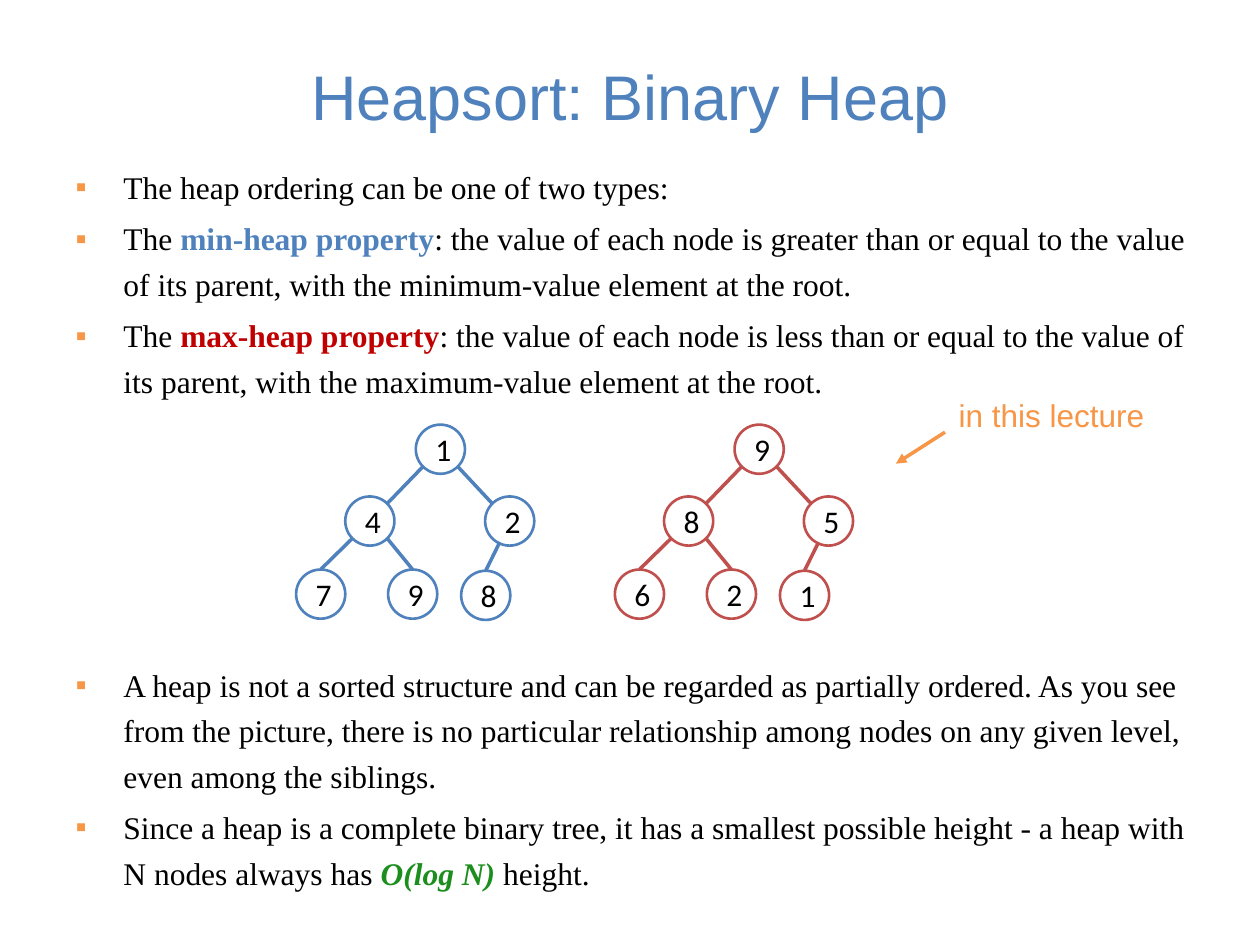
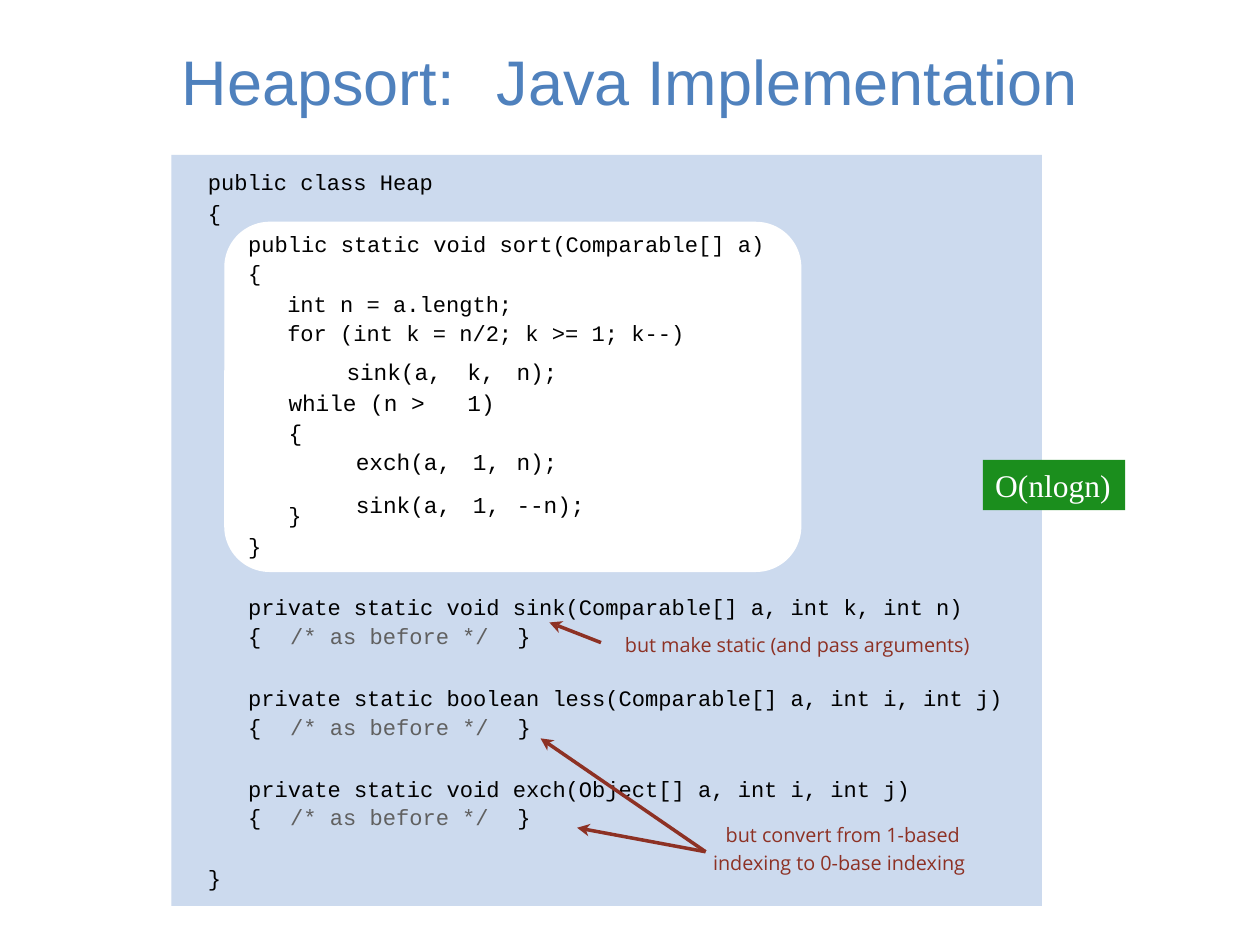
from dataclasses import dataclass, field
from math import cos, hypot, radians, sin

from lxml.etree import SubElement
from pptx import Presentation
from pptx.dml.color import RGBColor
from pptx.enum.shapes import MSO_CONNECTOR as Connector, MSO_SHAPE as Preset
from pptx.enum.text import MSO_ANCHOR as Anchor, MSO_AUTO_SIZE as AutoSize, PP_ALIGN as Align
from pptx.oxml.ns import qn
from pptx.util import Inches, Pt


@dataclass(frozen=True)
class Theme:
    blue: str = "4F81BD"
    red: str = "C0504D"
    crimson: str = "C00000"
    orange: str = "F79646"
    green: str = "1B8E1D"
    brown: str = "8D3124"
    gray: str = "606060"
    panel: str = "CCDAEE"
    white: str = "FFFFFF"
    black: str = "000000"

    def font(self, name, size, color):
        return {"name": name, "size": Pt(size), "color": color}

    @property
    def title(self):
        return self.font("Arial", 36, self.blue)

    @property
    def body(self):
        return self.font("Times New Roman", 18, self.black)

    @property
    def node(self):
        return self.font("Calibri", 18, self.black)

    @property
    def remark(self):
        return self.font("Arial", 18, self.orange)

    @property
    def code(self):
        return self.font("Courier New", 12.6, self.black)

    @property
    def loop_code(self):
        return self.font("Courier New", 13, self.black)

    @property
    def note(self):
        return self.font("Open Sans", 11.25, self.brown)


THEME = Theme()
NODE_SIZE = 0.39
NODE_OFFSETS = [(0.95, 0), (0.39, 0.57), (1.5, 0.57), (0, 1.15), (0.73, 1.15), (1.31, 1.16)]
EDGES = [(0, 1, 135, -45), (0, 2, 45, -135), (1, 3, 135, -90), (1, 4, 45, -90), (2, 5, 115, -90)]
TREE_TOP = 3.37
BULLET_GAP = 3.6
TREE_GAP = 148
METHOD_GAP = 20
BRACE_GAP = 8.9
HEAD_LENGTH, HEAD_NOTCH, HEAD_HALF = 0.1, 0.07, 0.05


@dataclass
class Para:
    runs: list
    indent: float = 0.01
    hang: float = 0
    bullet: str = ""
    form: dict = field(default_factory=dict)


def line(text, indent=0.01, before=0, **form):
    return Para([(text, {})], indent, form={"space_before": Pt(before), **form})


def stub(before=0):
    gap = (" ", {"spacing": BRACE_GAP})
    runs = [("{", {}), gap, ("/* as before */", {"color": THEME.gray}), gap, ("}", {})]
    return Para(runs, form={"space_before": Pt(before)})


def bullet(*runs, before=BULLET_GAP):
    form = {"line_spacing": 1.2, "space_before": Pt(before)}
    return Para(list(runs), 0.38, -0.38, "▪", form)


def apply(target, values):
    for name, value in values.items():
        if name == "color":
            target.color.rgb = RGBColor.from_string(value)
        else:
            setattr(target, name, value)


def write(frame, paragraphs, font):
    for index, para in enumerate(paragraphs):
        paragraph = frame.add_paragraph() if index else frame.paragraphs[0]
        props = paragraph._p.get_or_add_pPr()
        props.set("marL", str(Inches(para.indent)))
        props.set("indent", str(Inches(para.hang)))
        if para.bullet:
            tint = SubElement(props, qn("a:buClr"))
            SubElement(tint, qn("a:srgbClr"), val=THEME.orange)
            SubElement(props, qn("a:buChar"), char=para.bullet)
        apply(paragraph, para.form)
        for text, changes in para.runs:
            run = paragraph.add_run()
            run.text = text
            values = {**font, **changes}
            spacing = values.pop("spacing", 0)
            apply(run.font, values)
            if spacing:
                run._r.get_or_add_rPr().set("spc", str(round(spacing * 100)))


def place(shape, box):
    for name, value in zip(("left", "top", "width", "height"), box):
        setattr(shape, name, Inches(value))


def add_title(slide, text, top):
    title = slide.shapes.title
    place(title, (0.5, top, 9, 1.25))
    apply(title.text_frame, {"vertical_anchor": Anchor.MIDDLE, "auto_size": AutoSize.NONE})
    write(title.text_frame, [line(text, 0, alignment=Align.CENTER)], THEME.title)


def add_body(slide, bullets):
    body = slide.placeholders[1]
    place(body, (0.5, 1.22, 9.02, 5.95))
    apply(body.text_frame, {"vertical_anchor": Anchor.TOP, "auto_size": AutoSize.NONE})
    write(body.text_frame, bullets, THEME.body)


def add_text(slide, box, paragraphs, font, top_inset=0.01):
    frame = slide.shapes.add_textbox(*map(Inches, box)).text_frame
    apply(frame, {"word_wrap": True, "margin_left": 0, "margin_right": 0,
                  "margin_top": Inches(top_inset), "margin_bottom": 0})
    write(frame, paragraphs, font)


def paint(shape, fill, outline=None):
    shape.shadow.inherit = False
    shape.fill.solid()
    shape.fill.fore_color.rgb = RGBColor.from_string(fill)
    if outline:
        apply(shape.line, {"color": outline, "width": Pt(1.5)})
    else:
        shape.line.fill.background()
    return shape


def add_panel(slide, preset, box, fill, outline=None):
    return paint(slide.shapes.add_shape(preset, *map(Inches, box)), fill, outline)


def add_line(slide, start, end, color, head=None):
    link = slide.shapes.add_connector(Connector.STRAIGHT, *map(Inches, (*start, *end)))
    apply(link.line, {"color": color, "width": Pt(2)})
    if head:
        SubElement(link.line._get_or_add_ln(), qn("a:tailEnd"), type=head)
    SubElement(link._element.spPr, qn("a:effectLst"))


def add_barbed_arrow(slide, start, tip, color):
    reach = hypot(start[0] - tip[0], start[1] - tip[1])
    back_x, back_y = (start[0] - tip[0]) / reach, (start[1] - tip[1]) / reach

    def behind(along, across):
        return (tip[0] + along * back_x - across * back_y,
                tip[1] + along * back_y + across * back_x)

    notch = behind(HEAD_NOTCH, 0)
    add_line(slide, start, notch, color)
    barbs = [behind(HEAD_LENGTH, HEAD_HALF), notch, behind(HEAD_LENGTH, -HEAD_HALF)]
    outline = slide.shapes.build_freeform(*map(Inches, tip))
    outline.add_line_segments([tuple(map(Inches, point)) for point in barbs], close=True)
    paint(outline.convert_to_shape(), color)


def add_heap(slide, left, values, color):
    radius = NODE_SIZE / 2
    corners = [(left + x, TREE_TOP + y) for x, y in NODE_OFFSETS]

    def rim(node, angle):
        x, y = corners[node]
        turn = radians(angle)
        return x + radius * (1 + cos(turn)), y + radius * (1 + sin(turn))

    for corner, value in zip(corners, values):
        node = add_panel(slide, Preset.OVAL, (*corner, NODE_SIZE, NODE_SIZE), THEME.white, color)
        node.text_frame.vertical_anchor = Anchor.MIDDLE
        write(node.text_frame, [line(str(value), 0, alignment=Align.CENTER)], THEME.node)
    for parent, child, parent_angle, child_angle in EDGES:
        add_line(slide, rim(child, child_angle), rim(parent, parent_angle), color)


def add_loop_table(slide):
    widths, heights = (1.38, 0.39, 0.74), (0.7, 0.24, 0.22)
    tall, taller = {"line_spacing": Pt(20.3)}, {"line_spacing": Pt(21.5)}
    right = {"alignment": Align.RIGHT}
    rows = [
        [[line("sink(a,", 0.49, **tall), line("while (n >", 0.03, 3.4), line("{", 0.03, 2.4)],
         [line("k,", 0.07, **tall), line("1)", 0.07, 3.4)],
         [line("n);", 0.07, **tall)]],
        [[line("exch(a,", 0, **right)], [line("1,", 0, **right)], [line("n);", 0.07)]],
        [[line("sink(a,", 0, **right, **taller)], [line("1,", 0, **right, **taller)],
         [line("--n);", 0.07, **taller)]],
    ]
    insets = {"margin_left": 0, "margin_right": Inches(0.06), "margin_top": 0, "margin_bottom": 0}
    box = (2.26, 2.79, sum(widths), sum(heights))
    loop = slide.shapes.add_table(len(rows), len(widths), *map(Inches, box)).table
    apply(loop, {"first_row": False, "horz_banding": False})
    for column, width in zip(loop.columns, widths):
        column.width = Inches(width)
    for row, height, texts in zip(loop.rows, heights, rows):
        row.height = Inches(height)
        for cell, paragraphs in zip(row.cells, texts):
            apply(cell, insets)
            cell.fill.solid()
            cell.fill.fore_color.rgb = RGBColor.from_string(THEME.white)
            write(cell.text_frame, paragraphs, THEME.loop_code)


def build_heap_slide(deck):
    slide = deck.slides.add_slide(deck.slide_layouts[1])
    add_title(slide, "Heapsort: Binary Heap", 0.13)
    add_body(slide, [
        bullet(("The heap ordering can be one of two types:", {}), before=0),
        bullet(("The ", {}), ("min-heap property", {"color": THEME.blue, "bold": True}),
               (": the value of each node is greater than or equal to the value of its parent, "
                "with the minimum-value element at the root.", {})),
        bullet(("The ", {}), ("max-heap property", {"color": THEME.crimson, "bold": True}),
               (": the value of each node is less than or equal to the value of its parent, "
                "with the maximum-value element at the root.", {})),
        bullet(("A heap is not a sorted structure and can be regarded as partially ordered. "
                "As you see from the picture, there is no particular relationship among nodes "
                "on any given level, even among the siblings.", {}), before=TREE_GAP),
        bullet(("Since a heap is a complete binary tree, it has a smallest possible height - "
                "a heap with N nodes always has ", {}),
               ("O(log N) ", {"color": THEME.green, "bold": True, "italic": True}),
               ("height.", {})),
    ])
    add_heap(slide, 2.35, (1, 4, 2, 7, 9, 8), THEME.blue)
    add_heap(slide, 4.88, (9, 8, 5, 6, 2, 1), THEME.red)
    add_line(slide, (7.5, 3.43), (7.11, 3.68), THEME.orange, "triangle")
    remark = slide.shapes.add_textbox(*map(Inches, (7.51, 3.09, 1.69, 0.4)))
    remark.text_frame.word_wrap = False
    write(remark.text_frame, [line("in this lecture", 0)], THEME.remark)


def build_code_slide(deck):
    slide = deck.slides.add_slide(deck.slide_layouts[5])
    add_title(slide, "Heapsort:\tJava Implementation", 0.01)
    add_panel(slide, Preset.RECTANGLE, (1.36, 1.23, 6.91, 5.96), THEME.panel)
    sort_box = add_panel(slide, Preset.ROUNDED_RECTANGLE, (1.78, 1.76, 4.58, 2.78), THEME.white)
    sort_box.adjustments[0] = 0.13
    add_text(slide, (1.64, 1.29, 4.46, 1.46), [
        line("public class Heap"),
        line("{", before=2.4),
        line("public static void sort(Comparable[] a)", 0.33, 2.4),
        line("{", 0.33, 1.7),
        line("int n = a.length;", 0.64, 2.4),
        line("for (int k = n/2; k >= 1; k--)", 0.64, 1.7),
    ], THEME.code, 0.05)
    add_loop_table(slide)
    add_text(slide, (1.96, 3.94, 5.8, 0.99), [
        line("}", 0.33),
        line("}", before=2.4),
        line("private static void sink(Comparable[] a, int k, int n)", before=METHOD_GAP),
    ], THEME.code, 0.04)
    add_text(slide, (1.96, 5.39, 6.15, 0.98), [
        line("private static boolean less(Comparable[] a, int i, int j)"),
        stub(1.7),
        line("private static void exch(Object[] a, int i, int j)", before=METHOD_GAP),
    ], THEME.code, 0.04)
    for top in (4.93, 6.37):
        add_text(slide, (1.96, top, 2.4, 0.22), [stub()], THEME.code)
    add_text(slide, (1.64, 6.85, 0.13, 0.22), [line("}")], THEME.code)

    convert = Para([("but convert from 1-based indexing to 0-base indexing", {})],
                   hang=0.1, form={"line_spacing": 1.2})
    add_text(slide, (5.65, 6.48, 2.15, 0.44), [convert], THEME.note)
    add_text(slide, (4.95, 5.01, 2.88, 0.2),
             [line("but make static (and pass arguments)")], THEME.note)
    for start, tip in (((5.6, 6.76), (4.29, 5.86)), ((5.6, 6.76), (4.58, 6.57)),
                       ((4.77, 5.1), (4.36, 4.94))):
        add_barbed_arrow(slide, start, tip, THEME.brown)

    cost = add_panel(slide, Preset.RECTANGLE, (7.8, 3.65, 1.13, 0.4), THEME.green)
    apply(cost.text_frame, {"word_wrap": False, "vertical_anchor": Anchor.TOP})
    write(cost.text_frame, [line("O(nlogn)", 0, alignment=Align.LEFT)],
          {**THEME.body, "color": THEME.white})


def main():
    deck = Presentation()
    apply(deck, {"slide_width": Inches(10), "slide_height": Inches(7.5)})
    build_heap_slide(deck)
    build_code_slide(deck)
    deck.save("out.pptx")


if __name__ == "__main__":
    main()
